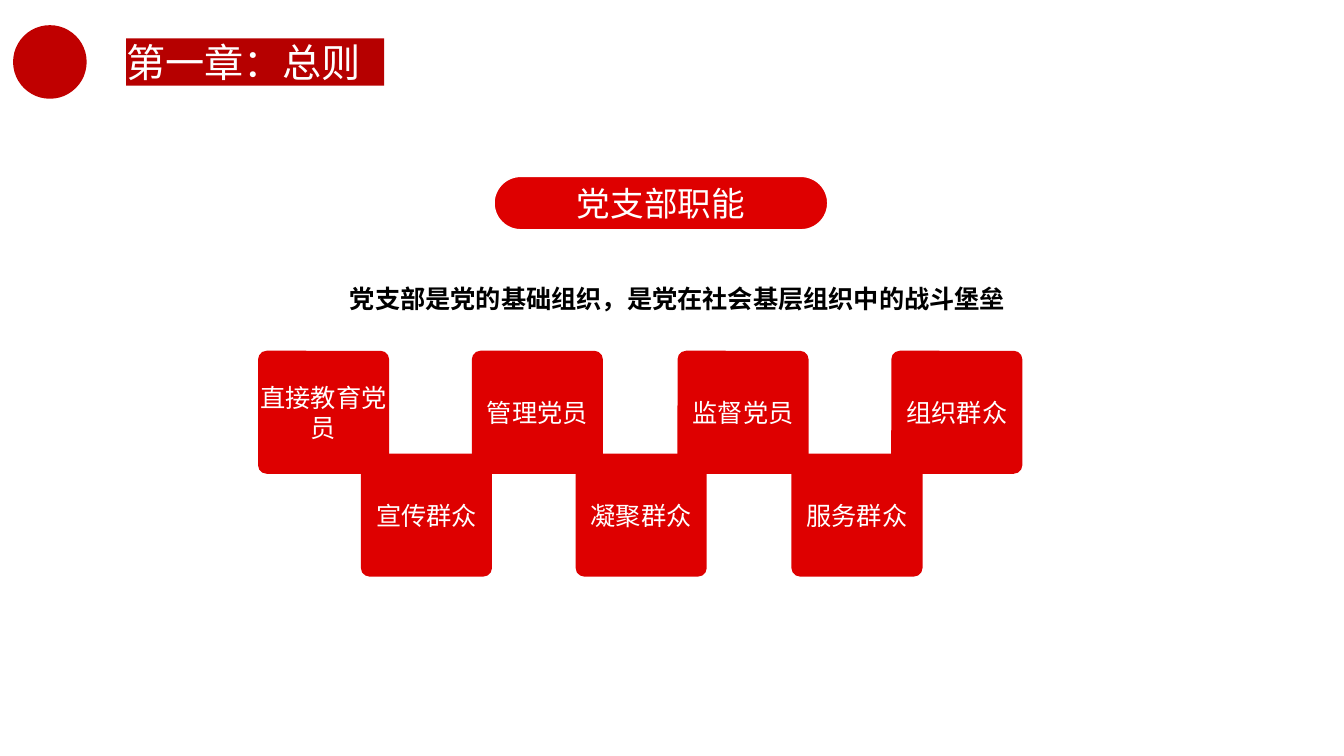
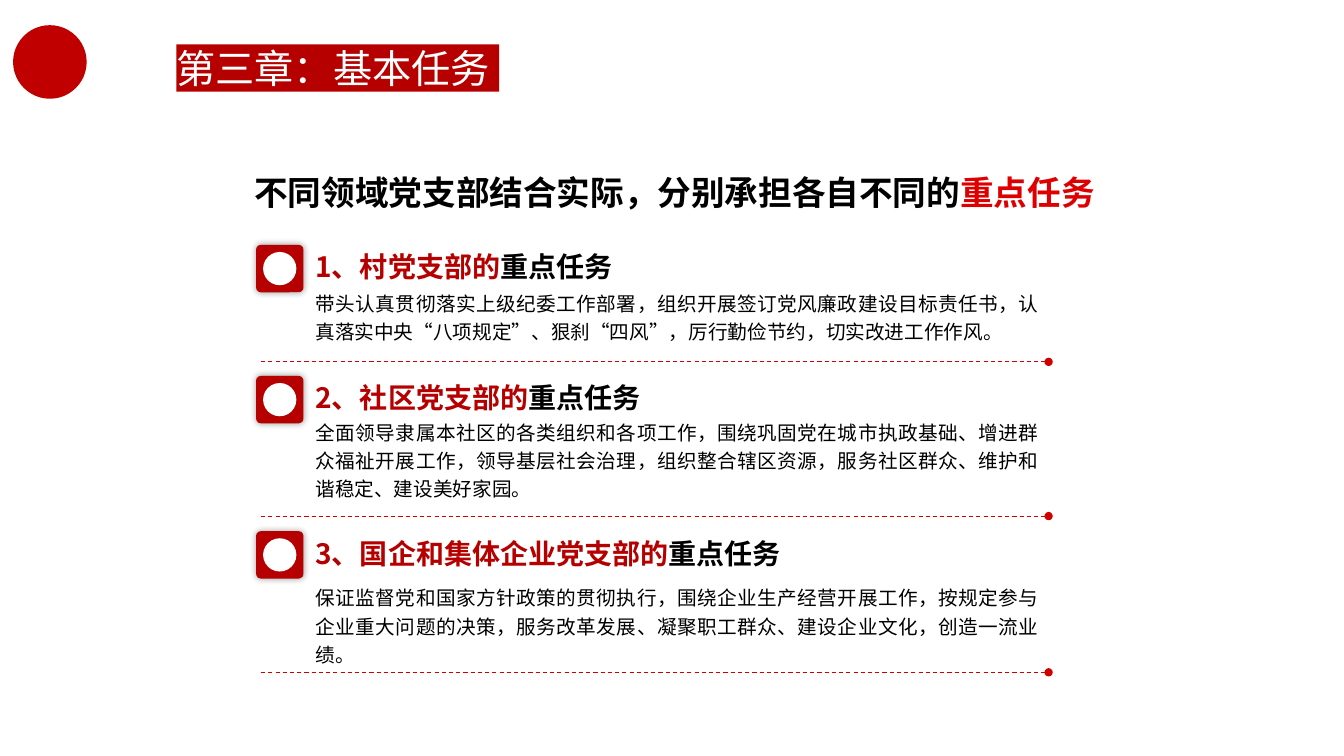
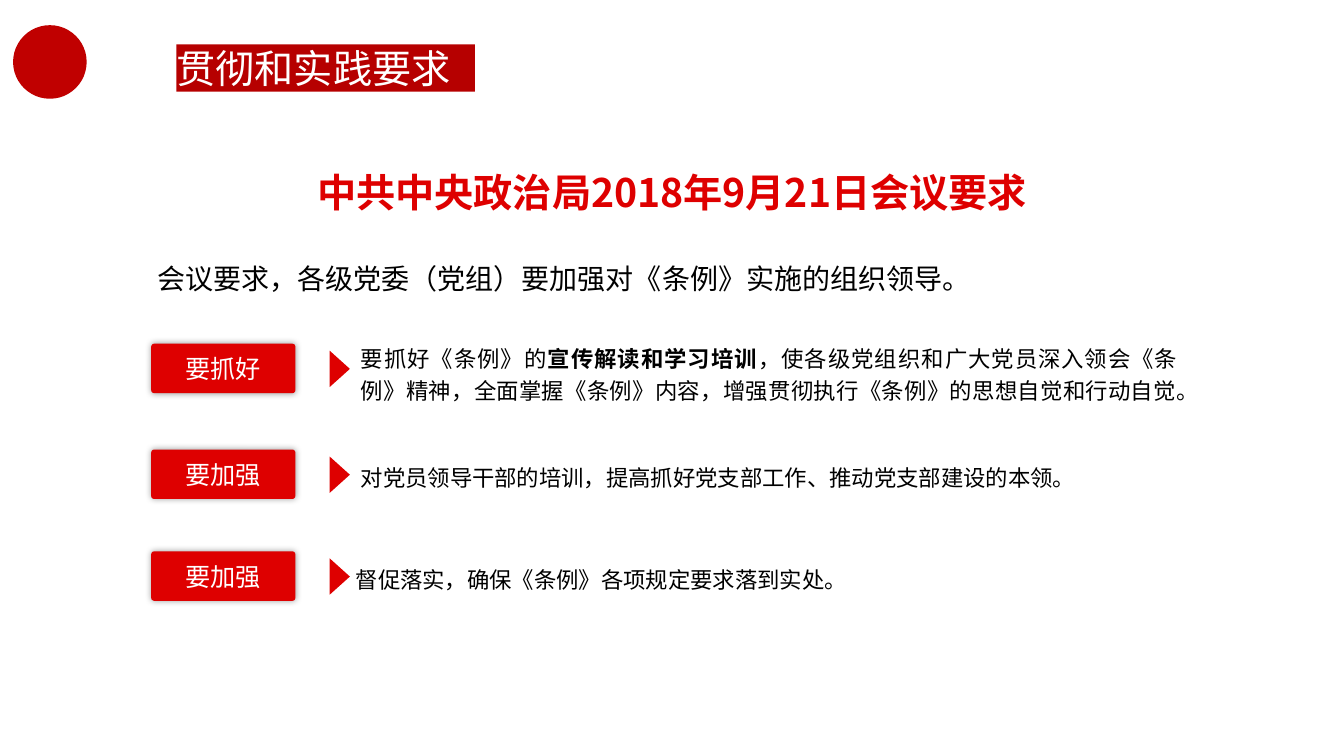
"""Build three slides on the rules for Party branch work."""
from dataclasses import dataclass

from lxml.etree import SubElement
from pptx import Presentation
from pptx.dml.color import RGBColor
from pptx.enum.dml import MSO_LINE
from pptx.enum.shapes import MSO_CONNECTOR, MSO_SHAPE
from pptx.enum.text import MSO_ANCHOR, MSO_AUTO_SIZE, PP_ALIGN
from pptx.oxml.ns import qn
from pptx.presentation import Presentation as Deck
from pptx.shapes.autoshape import Shape
from pptx.slide import Slide, SlideLayout
from pptx.text.text import TextFrame
from pptx.util import Inches, Pt

COLORS = {
    "emblem": "C00000",
    "band": "B60000",
    "red": "DE0000",
    "rule": "D10000",
    "black": "000000",
    "white": "FFFFFF",
}
FONT = "Noto Sans CJK SC"
BODY_FONT = "Arial"


@dataclass(frozen=True)
class Box:
    left: float
    top: float
    width: float
    height: float


@dataclass(frozen=True)
class Span:
    text: str
    color: str = "black"
    bold: bool = False


@dataclass(frozen=True)
class Style:
    size: float
    font: str = FONT
    align: PP_ALIGN = PP_ALIGN.LEFT
    line_spacing: float = 1.0
    before: float = 0
    after: float = 0
    wrap: bool = True


@dataclass(frozen=True)
class Tile:
    left: float
    top: float
    label: str


@dataclass(frozen=True)
class Task:
    top: float
    body_top: float
    body_height: float
    rule_top: float
    heading: str
    body: str


@dataclass(frozen=True)
class Requirement:
    badge_top: float
    label: str
    text_box: Box
    spans: tuple[Span, ...]


TITLE = Style(28)
PILL = Style(24, align=PP_ALIGN.CENTER)
LABEL = Style(18, align=PP_ALIGN.CENTER)
STATEMENT = Style(18, align=PP_ALIGN.CENTER, line_spacing=1.5, after=4)
SUBTITLE = Style(24, align=PP_ALIGN.CENTER, wrap=False)
TASK_HEADING = Style(20, wrap=False)
TASK_BODY = Style(14, font=BODY_FONT, align=PP_ALIGN.JUSTIFY, line_spacing=1.2)
MEETING = Style(28, align=PP_ALIGN.CENTER, line_spacing=1.2, after=10)
INTRO = Style(20)
REQUIREMENT = Style(16, align=PP_ALIGN.JUSTIFY, line_spacing=1.2, after=10)

UPPER_ROW, LOWER_ROW = 3.48, 4.5
TILES = (
    Tile(2.56, UPPER_ROW, "直接教育党员"),
    Tile(4.68, UPPER_ROW, "管理党员"),
    Tile(6.72, UPPER_ROW, "监督党员"),
    Tile(8.84, UPPER_ROW, "组织群众"),
    Tile(3.58, LOWER_ROW, "宣传群众"),
    Tile(5.71, LOWER_ROW, "凝聚群众"),
    Tile(7.85, LOWER_ROW, "服务群众"),
)
TASKS = (
    Task(2.43, 2.8, 0.65, 3.59, "1、村党支部的",
         "带头认真贯彻落实上级纪委工作部署，组织开展签订党风廉政建设目标责任书，"
         "认真落实中央“八项规定”、狠刹“四风”，厉行勤俭节约，切实改进工作作风。"),
    Task(3.73, 4.08, 0.93, 5.12, "2、社区党支部的",
         "全面领导隶属本社区的各类组织和各项工作，围绕巩固党在城市执政基础、"
         "增进群众福祉开展工作，领导基层社会治理，组织整合辖区资源，"
         "服务社区群众、维护和谐稳定、建设美好家园。"),
    Task(5.27, 5.72, 0.93, 6.67, "3、国企和集体企业党支部的",
         "保证监督党和国家方针政策的贯彻执行，围绕企业生产经营开展工作，"
         "按规定参与企业重大问题的决策，服务改革发展、凝聚职工群众、"
         "建设企业文化，创造一流业绩。"),
)
REQUIREMENTS = (
    Requirement(3.41, "要抓好", Box(3.48, 3.32, 8.3, 0.73), (
        Span("要抓好《条例》的"),
        Span("宣传解读和学习培训", bold=True),
        Span("，使各级党组织和广大党员深入领会《条例》精神，全面掌握《条例》内容，"
             "增强贯彻执行《条例》的思想自觉和行动自觉。"),
    )),
    Requirement(4.46, "要加强", Box(3.48, 4.5, 8.3, 0.4), (
        Span("对党员领导干部的培训，提高抓好党支部工作、推动党支部建设的本领。"),
    )),
    Requirement(5.47, "要加强", Box(3.43, 5.51, 8.3, 0.4), (
        Span("督促落实，确保《条例》各项规定要求落到实处。"),
    )),
)


def rgb(name: str) -> RGBColor:
    """Look up a palette colour."""
    return RGBColor.from_string(COLORS[name])


def lengths(box: Box) -> tuple[Inches, Inches, Inches, Inches]:
    """Turn a box into lengths."""
    return Inches(box.left), Inches(box.top), Inches(box.width), Inches(box.height)


def write(frame: TextFrame, spans: tuple[Span, ...], style: Style) -> None:
    """Fill a text frame with one styled paragraph."""
    frame.word_wrap = style.wrap
    frame.auto_size = MSO_AUTO_SIZE.NONE
    para = frame.paragraphs[0]
    para.alignment = style.align
    para.line_spacing = style.line_spacing
    para.space_before = Pt(style.before)
    para.space_after = Pt(style.after)
    for span in spans:
        run = para.add_run()
        run.text = span.text
        run.font.size = Pt(style.size)
        run.font.bold = span.bold
        run.font.color.rgb = rgb(span.color)
        run.font.name = style.font
        east_asian = SubElement(run.font._element, qn("a:ea"))
        east_asian.set("typeface", FONT)


def clear_margins(frame: TextFrame) -> None:
    """Remove the insets of a text frame."""
    frame.margin_left = frame.margin_right = Inches(0)
    frame.margin_top = frame.margin_bottom = Inches(0)


def add_text(slide: Slide, box: Box, spans: tuple[Span, ...], style: Style) -> None:
    """Add a text box."""
    write(slide.shapes.add_textbox(*lengths(box)).text_frame, spans, style)


def add_block(slide: Slide, kind: MSO_SHAPE, box: Box, color: str,
              radius: float | None = None) -> Shape:
    """Add a filled shape without outline or shadow."""
    block = slide.shapes.add_shape(kind, *lengths(box))
    block.shadow.inherit = False
    block.fill.solid()
    block.fill.fore_color.rgb = rgb(color)
    block.line.fill.background()
    if radius is not None:
        block.adjustments[0] = radius
    return block


def add_label(slide: Slide, box: Box, label: str, radius: float,
              style: Style = LABEL) -> Shape:
    """Add a red rounded block with a centred white label."""
    block = add_block(slide, MSO_SHAPE.ROUNDED_RECTANGLE, box, "red", radius)
    clear_margins(block.text_frame)
    block.text_frame.vertical_anchor = MSO_ANCHOR.MIDDLE
    write(block.text_frame, (Span(label, "white"),), style)
    return block


def add_glow(block: Shape) -> None:
    """Give a block a soft shadow on all sides."""
    effects = block._element.spPr.find(qn("a:effectLst"))
    shadow = SubElement(effects, qn("a:outerShdw"), blurRad=str(Pt(5)), dist="0",
                        algn="ctr", rotWithShape="0")
    tint = SubElement(shadow, qn("a:srgbClr"), val=COLORS["black"])
    SubElement(tint, qn("a:alpha"), val="40000")


def add_rule(slide: Slide, top: float) -> None:
    """Add a dashed rule that ends in a dot."""
    rule = slide.shapes.add_connector(MSO_CONNECTOR.STRAIGHT, Inches(2.59), Inches(top),
                                      Inches(10.4), Inches(top))
    rule.line.color.rgb = rgb("rule")
    rule.line.width = Pt(0.75)
    rule.line.dash_style = MSO_LINE.DASH
    SubElement(rule.line._get_or_add_ln(), qn("a:tailEnd"), type="oval")
    SubElement(rule._element.spPr, qn("a:effectLst"))


def add_page(deck: Deck, layout: SlideLayout, title: str, band: Box) -> Slide:
    """Add a slide with its title on a red band."""
    page = deck.slides.add_slide(layout)
    heading = page.shapes.title
    heading.left, heading.top, heading.width, heading.height = lengths(band)
    heading.fill.solid()
    heading.fill.fore_color.rgb = rgb("band")
    clear_margins(heading.text_frame)
    heading.text_frame.vertical_anchor = MSO_ANCHOR.TOP
    write(heading.text_frame, (Span(title, "white"),), TITLE)
    return page


def build_functions(deck: Deck, layout: SlideLayout) -> Slide:
    """Build the slide on what a branch does."""
    page = add_page(deck, layout, "第一章：总则", Box(1.25, 0.38, 2.56, 0.47))
    pill = add_label(page, Box(4.9, 1.75, 3.31, 0.53), "党支部职能", 0.5, PILL)
    pill.line.color.rgb = rgb("white")
    pill.line.width = Pt(1)
    add_text(page, Box(1.45, 2.61, 10.54, 0.51),
             (Span("党支部是党的基础组织，是党在社会基层组织中的战斗堡垒", bold=True),),
             STATEMENT)
    for tile in TILES:
        add_label(page, Box(tile.left, tile.top, 1.3, 1.22), tile.label, 0.07)
    return page


def build_tasks(deck: Deck, layout: SlideLayout) -> None:
    """Build the slide on the key tasks by field."""
    page = add_page(deck, layout, "第三章：基本任务", Box(1.75, 0.44, 3.2, 0.47))
    add_text(page, Box(2.38, 1.66, 8.62, 0.5),
             (Span("不同领域党支部结合实际，分别承担各自不同的", bold=True),
              Span("重点任务", "red", True)), SUBTITLE)
    for task in TASKS:
        add_text(page, Box(3.03, task.body_top, 7.37, task.body_height),
                 (Span(task.body),), TASK_BODY)
        add_text(page, Box(3.03, task.top, 5, 0.44),
                 (Span(task.heading, "band", True), Span("重点任务", bold=True)),
                 TASK_HEADING)
        add_glow(add_block(page, MSO_SHAPE.ROUNDED_RECTANGLE,
                           Box(2.54, task.top, 0.47, 0.47), "band", 0.1))
        add_block(page, MSO_SHAPE.OVAL, Box(2.61, task.top + 0.07, 0.33, 0.33), "white")
        add_rule(page, task.rule_top)


def build_requirements(deck: Deck, layout: SlideLayout) -> None:
    """Build the slide on what the meeting asked for."""
    page = add_page(deck, layout, "贯彻和实践要求", Box(1.75, 0.44, 2.96, 0.47))
    add_text(page, Box(2.39, 1.53, 8.55, 0.63),
             (Span("中共中央政治局2018年9月21日会议要求", "red", True),), MEETING)
    add_text(page, Box(1.46, 2.55, 8.55, 0.44),
             (Span("会议要求，各级党委（党组）要加强对《条例》实施的组织领导。"),), INTRO)
    for item in REQUIREMENTS:
        add_glow(add_label(page, Box(1.5, item.badge_top, 1.43, 0.49), item.label, 0.06))
        arrow = add_block(page, MSO_SHAPE.ISOSCELES_TRIANGLE,
                          Box(3.19, item.badge_top + 0.15, 0.36, 0.2), "red")
        arrow.rotation = 90
        add_text(page, item.text_box, item.spans, REQUIREMENT)


def main() -> None:
    """Build and save the deck."""
    deck = Presentation()
    deck.slide_width, deck.slide_height = Inches(13.33), Inches(7.5)
    layout = deck.slide_layouts.get_by_name("Title Only")
    first_page = build_functions(deck, layout)
    emblem = add_block(first_page, MSO_SHAPE.OVAL, Box(0.13, 0.25, 0.73, 0.73), "emblem")
    layout.shapes.element.append(emblem.element)
    build_tasks(deck, layout)
    build_requirements(deck, layout)
    deck.save("out.pptx")


if __name__ == "__main__":
    main()
